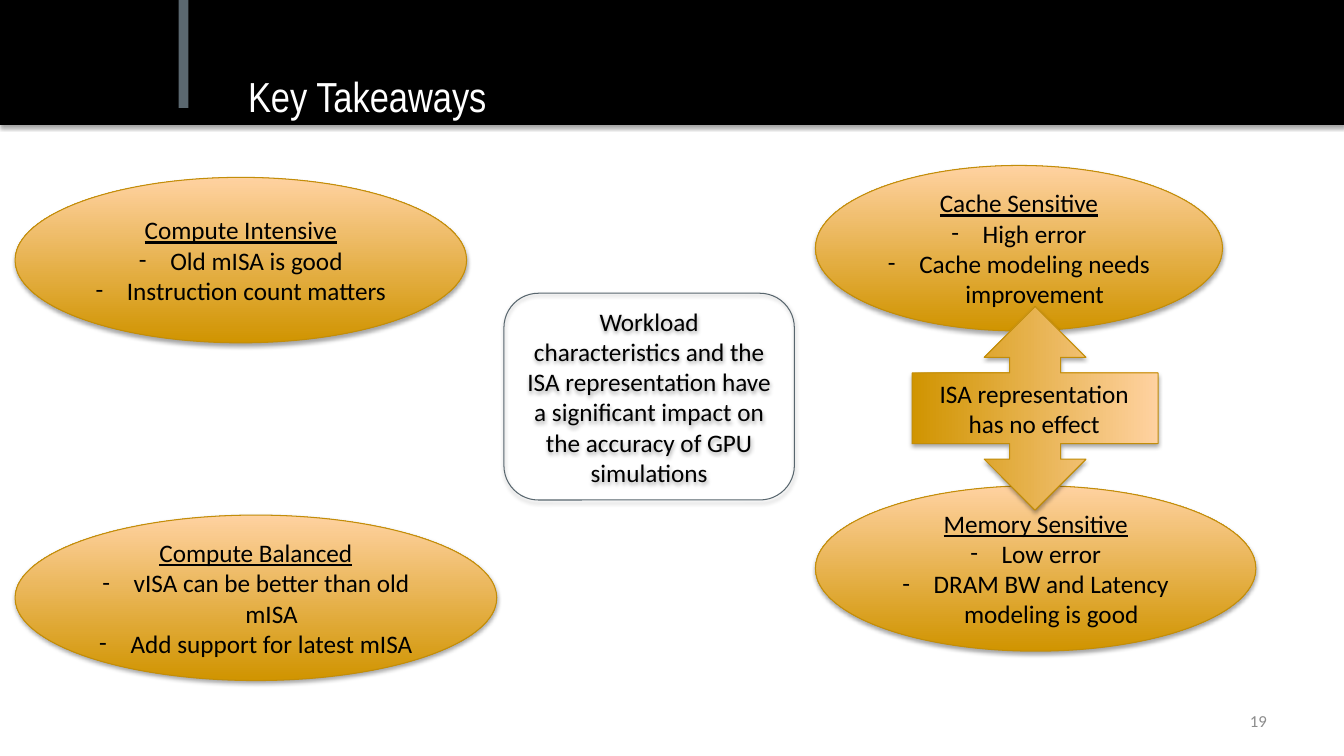
import pptx
import pptx.util
import pptx.dml.color
import pptx.enum.shapes
import pptx.enum.text
import pptx.oxml
import pptx.oxml.ns

HUES = {"black": "000000", "white": "FFFFFF", "slate": "5B6870",
        "edge": "58666E", "gold": "D09400", "peach": "FFD2A1",
        "rim": "C28D09", "gray": "8C8C8C"}
TITLE = "Key Takeaways"
CLAIM = ("Workload characteristics and the ISA representation have a "
         "significant impact on the accuracy of GPU simulations")
LINK = "ISA representation has no effect"
PAGE = "19"
# Left, top, width in cm; heading; points
OVALS = [
    (20.55, 12.24, 11.1, "Memory Sensitive",
     ["Low error", "DRAM BW and Latency modeling is good"]),
    (20.55, 4.17, 10.26, "Cache Sensitive",
     ["High error", "Cache modeling needs improvement"]),
    (0.38, 4.47, 11.38, "Compute Intensive",
     ["Old mISA is good", "Instruction count matters"]),
    (0.38, 12.98, 12.14, "Compute Balanced",
     ["vISA can be better than old mISA", "Add support for latest mISA"]),
]
TALL = 4.17
DENT = 0.79

Cm, Pt = pptx.util.Cm, pptx.util.Pt
KIND = pptx.enum.shapes.MSO_SHAPE
ALIGN = pptx.enum.text.PP_ALIGN
MID = pptx.enum.text.MSO_ANCHOR.MIDDLE
NS = pptx.oxml.ns.nsdecls("a")


def hue(name):
    return pptx.dml.color.RGBColor.from_string(HUES[name])


def place(item, box):
    item.left, item.top, item.width, item.height = map(Cm, box)


def shade(shape):
    shape.shadow.inherit = False
    glow = shape.element.spPr.find(pptx.oxml.ns.qn("a:effectLst"))
    glow.append(pptx.oxml.parse_xml(
        f'<a:outerShdw {NS} blurRad="{Pt(3.1)}" dist="{Pt(1.8)}" '
        'dir="5400000" rotWithShape="0"><a:srgbClr val="000000">'
        '<a:alpha val="35000"/></a:srgbClr></a:outerShdw>'))


def draw(kind, box, fill=None, line=None):
    shape = slide.shapes.add_shape(kind, *map(Cm, box))
    if fill == "blend":
        shape.fill.gradient()
        shape.fill.gradient_angle = 90
        for stop, name in zip(shape.fill.gradient_stops, ("gold", "peach")):
            stop.color.rgb = hue(name)
    elif fill:
        shape.fill.solid()
        shape.fill.fore_color.rgb = hue(fill)
    else:
        shape.fill.background()
    if line:
        shape.line.color.rgb = hue(line)
        shape.line.width = Pt(0.75)
    else:
        shape.line.fill.background()
    shade(shape)
    return shape


def write(para, text, size=18, tint="black", face="Calibri",
          align=ALIGN.CENTER, under=False):
    para.alignment = align
    run = para.add_run()
    run.text = text
    font = run.font
    font.size, font.name, font.underline = Pt(size), face, under
    font.color.rgb = hue(tint)


def dash(para):
    props = para._p.get_or_add_pPr()
    props.set("marL", str(Cm(DENT)))
    props.set("indent", str(-Cm(DENT)))
    for tag in (f'<a:buClr {NS}><a:srgbClr val="{HUES["black"]}"/></a:buClr>',
                f'<a:buFont {NS} typeface="Calibri"/>',
                f'<a:buChar {NS} char="-"/>'):
        props.append(pptx.oxml.parse_xml(tag))


def frame(shape, anchor=MID):
    body = shape.text_frame
    body.word_wrap = True
    body.vertical_anchor = anchor
    return body


deck = pptx.Presentation()
deck.slide_width, deck.slide_height = Cm(33.87), Cm(19.05)
slide = deck.slides.add_slide(deck.slide_layouts[5])

# Header band and accent bar
draw(KIND.RECTANGLE, (0, 0, 33.87, 3.15), "black")
draw(KIND.RECTANGLE, (4.5, 0, 0.25, 2.72), "slate")

# Title, brought in front of the band
title = slide.shapes.title
place(title, (6.25, 1.68, 22.58, 1.47))
body = frame(title)
body.margin_left = body.margin_right = body.margin_top = body.margin_bottom = 0
write(body.paragraphs[0], TITLE, 30, "white", "Arial Narrow", ALIGN.LEFT)
slide.shapes._spTree.append(title.element)

# Workload ovals
for left, top, wide, head, points in OVALS:
    oval = draw(KIND.OVAL, (left, top, wide, TALL), "blend", "rim")
    body = frame(oval)
    write(body.paragraphs[0], head, under=True)
    for point in points:
        para = body.add_paragraph()
        dash(para)
        write(para, point)

# Double arrow between the right ovals
arrow = draw(KIND.LEFT_RIGHT_ARROW_CALLOUT, (23.52, 7.19, 5.13, 6.2),
             "blend", "rim")
arrow.rotation = 90
for spot, value in enumerate((0.25, 0.25, 0.25, 0.347)):
    arrow.adjustments[spot] = value
label = slide.shapes.add_textbox(*map(Cm, (22.99, 9.4, 6.15, 1.8)))
write(frame(label, pptx.enum.text.MSO_ANCHOR.TOP).paragraphs[0], LINK)

# Central claim
claim = draw(KIND.ROUNDED_RECTANGLE, (12.7, 7.39, 7.32, 5.21), line="edge")
write(frame(claim).paragraphs[0], CLAIM)

# Page number
page = slide.shapes.add_textbox(*map(Cm, (24.28, 17.65, 7.9, 1.02)))
write(frame(page).paragraphs[0], PAGE, 12, "gray", align=ALIGN.RIGHT)

deck.save("out.pptx")
